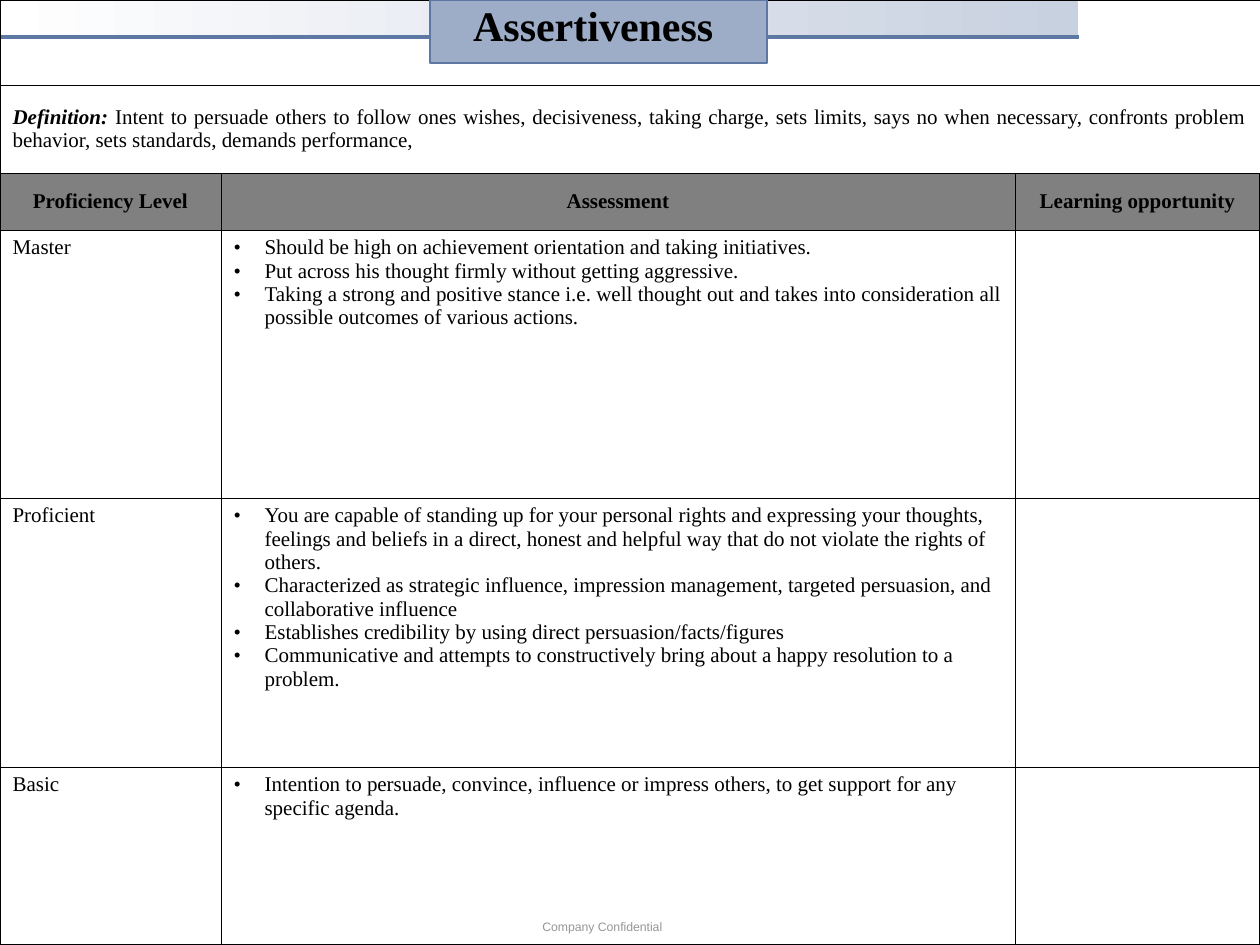
from lxml.etree import SubElement
from pptx import Presentation
from pptx.dml.color import RGBColor
from pptx.enum.shapes import MSO_CONNECTOR, MSO_SHAPE
from pptx.enum.text import MSO_ANCHOR, PP_ALIGN
from pptx.oxml.ns import qn
from pptx.util import Emu, Pt

COLORS = {
    "black": "000000",
    "white": "FFFFFF",
    "header": "808080",
    "pale": "C8D1E0",
    "title": "9DADC7",
    "edge": "5D78A3",
    "footer": "969696",
}
SERIF = "Times New Roman"
COLUMNS = [221, 794, 245]
ROWS = [85, 88, 57, 268, 269, 178]
HEADINGS = ["Proficiency Level", "Assessment", "Learning opportunity"]
DEFINITION = (
    "Intent to persuade others to follow ones wishes, decisiveness, taking charge, "
    "sets limits, says no when necessary, confronts problem behavior, sets standards, "
    "demands performance,"
)
LEVELS = [
    ("Master", PP_ALIGN.JUSTIFY, [
        "Should be high on achievement orientation and taking initiatives.",
        "Put across his thought firmly without getting aggressive.",
        "Taking a strong and positive stance i.e. well thought out and takes into "
        "consideration all possible outcomes of various actions.",
    ]),
    ("Proficient", PP_ALIGN.LEFT, [
        "You are capable of standing up for your personal rights and expressing your "
        "thoughts, feelings and beliefs in a direct, honest and helpful way that do not "
        "violate the rights of others.",
        "Characterized as strategic influence, impression management, targeted "
        "persuasion, and collaborative influence",
        "Establishes credibility by using direct persuasion/facts/figures",
        "Communicative and attempts to constructively bring about a happy resolution "
        "to a problem.",
    ]),
    ("Basic", PP_ALIGN.LEFT, [
        "Intention to persuade, convince, influence or impress others, to get support "
        "for any specific agenda.",
    ]),
]


def px(value):
    return Emu(round(value * 914400 / 126))


def rgb(name):
    return RGBColor.from_string(COLORS[name])


class SlideBuilder:
    def __init__(self, slide, font=SERIF, size=12):
        self.slide = slide
        self.font = font
        self.size = size

    def run(self, paragraph, text, size=None, font=None, color="black", bold=False, italic=False):
        run = paragraph.add_run()
        run.text = text
        run.font.name = font or self.font
        run.font.size = Pt(size or self.size)
        run.font.color.rgb = rgb(color)
        run.font.bold = bold
        run.font.italic = italic

    def bullet(self, paragraph):
        properties = paragraph._p.get_or_add_pPr()
        properties.set("marL", str(px(31)))
        properties.set("indent", str(-px(31)))
        SubElement(properties, qn("a:buFont"), typeface=self.font)
        SubElement(properties, qn("a:buChar"), char="•")

    def rectangle(self, left, top, width, height):
        shape = self.slide.shapes.add_shape(
            MSO_SHAPE.RECTANGLE, px(left), px(top), px(width), px(height))
        shape.shadow.inherit = False
        return shape

    def gradient_bar(self, left, top, width, height, start, end):
        shape = self.rectangle(left, top, width, height)
        shape.line.fill.background()
        shape.fill.gradient()
        shape.fill.gradient_angle = 0
        for stop, color in zip(shape.fill.gradient_stops, (start, end)):
            stop.color.rgb = rgb(color)

    def line(self, x1, y1, x2, y2, color, weight):
        connector = self.slide.shapes.add_connector(
            MSO_CONNECTOR.STRAIGHT, px(x1), px(y1), px(x2), px(y2))
        connector.line.color.rgb = rgb(color)
        connector.line.width = Pt(weight)
        SubElement(connector._element.spPr, qn("a:effectLst"))

    def title(self, left, top, width, height, text):
        shape = self.rectangle(left, top, width, height)
        shape.fill.solid()
        shape.fill.fore_color.rgb = rgb("title")
        shape.line.color.rgb = rgb("edge")
        shape.line.width = Pt(1)
        frame = shape.text_frame
        frame.margin_left = frame.margin_top = frame.margin_right = frame.margin_bottom = 0
        frame.word_wrap = False
        frame.vertical_anchor = MSO_ANCHOR.TOP
        frame.paragraphs[0].alignment = PP_ALIGN.CENTER
        self.run(frame.paragraphs[0], text, size=24, bold=True)

    def footer(self, left, top, width, height, text):
        box = self.slide.shapes.add_textbox(px(left), px(top), px(width), px(height))
        box.text_frame.word_wrap = False
        self.run(box.text_frame.paragraphs[0], text, size=7, font="Arial", color="footer")

    def borders(self, cell, outer_sides):
        properties = cell._tc.get_or_add_tcPr()
        for side in "LRTB":
            weight = 1.08 if side in outer_sides else 0.45
            border = SubElement(properties, qn(f"a:ln{side}"), w=str(Pt(weight)))
            fill = SubElement(border, qn("a:solidFill"))
            SubElement(fill, qn("a:srgbClr"), val=COLORS["black"])

    def table(self, left, top, columns, rows, header_row):
        table = self.slide.shapes.add_table(
            len(rows), len(columns), px(left), px(top), px(sum(columns)), px(sum(rows))).table
        table.first_row = table.horz_banding = False
        for column, width in zip(table.columns, columns):
            column.width = px(width)
        for row, height in zip(table.rows, rows):
            row.height = px(height)
        for r in range(len(rows)):
            for c in range(len(columns)):
                cell = table.cell(r, c)
                edges = {"L": c == 0, "R": c == len(columns) - 1,
                         "T": r == 0, "B": r == len(rows) - 1}
                self.borders(cell, [side for side, outer in edges.items() if outer])
                if r == header_row:
                    cell.fill.solid()
                    cell.fill.fore_color.rgb = rgb("header")
                else:
                    cell.fill.background()
        return table

    def cell_paragraph(self, cell, alignment, first=True):
        frame = cell.text_frame
        paragraph = frame.paragraphs[0] if first else frame.add_paragraph()
        paragraph.alignment = alignment
        return paragraph


def main():
    presentation = Presentation()
    presentation.slide_width = px(1260)
    presentation.slide_height = px(945)
    builder = SlideBuilder(presentation.slides.add_slide(presentation.slide_layouts[6]))

    builder.gradient_bar(0, 0, 1078, 37, "white", "pale")
    builder.line(-4, 37, 1079, 37, "edge", 2.25)
    builder.footer(530, 913, 197, 28, "Company Confidential")

    table = builder.table(0, 0, COLUMNS, ROWS, header_row=2)
    for row in (0, 1):
        table.cell(row, 0).merge(table.cell(row, 2))

    definition = table.cell(1, 0)
    definition.vertical_anchor = MSO_ANCHOR.MIDDLE
    paragraph = builder.cell_paragraph(definition, PP_ALIGN.JUSTIFY)
    builder.run(paragraph, "Definition: ", bold=True, italic=True)
    builder.run(paragraph, DEFINITION)

    for column, heading in enumerate(HEADINGS):
        cell = table.cell(2, column)
        cell.vertical_anchor = MSO_ANCHOR.MIDDLE
        builder.run(builder.cell_paragraph(cell, PP_ALIGN.CENTER), heading, bold=True)

    for row, (level, alignment, points) in enumerate(LEVELS, start=3):
        builder.run(builder.cell_paragraph(table.cell(row, 0), PP_ALIGN.LEFT), level)
        for index, point in enumerate(points):
            paragraph = builder.cell_paragraph(table.cell(row, 1), alignment, first=index == 0)
            builder.bullet(paragraph)
            builder.run(paragraph, point)

    builder.title(430, 0, 337, 63, "Assertiveness ")
    presentation.save("out.pptx")


if __name__ == "__main__":
    main()
